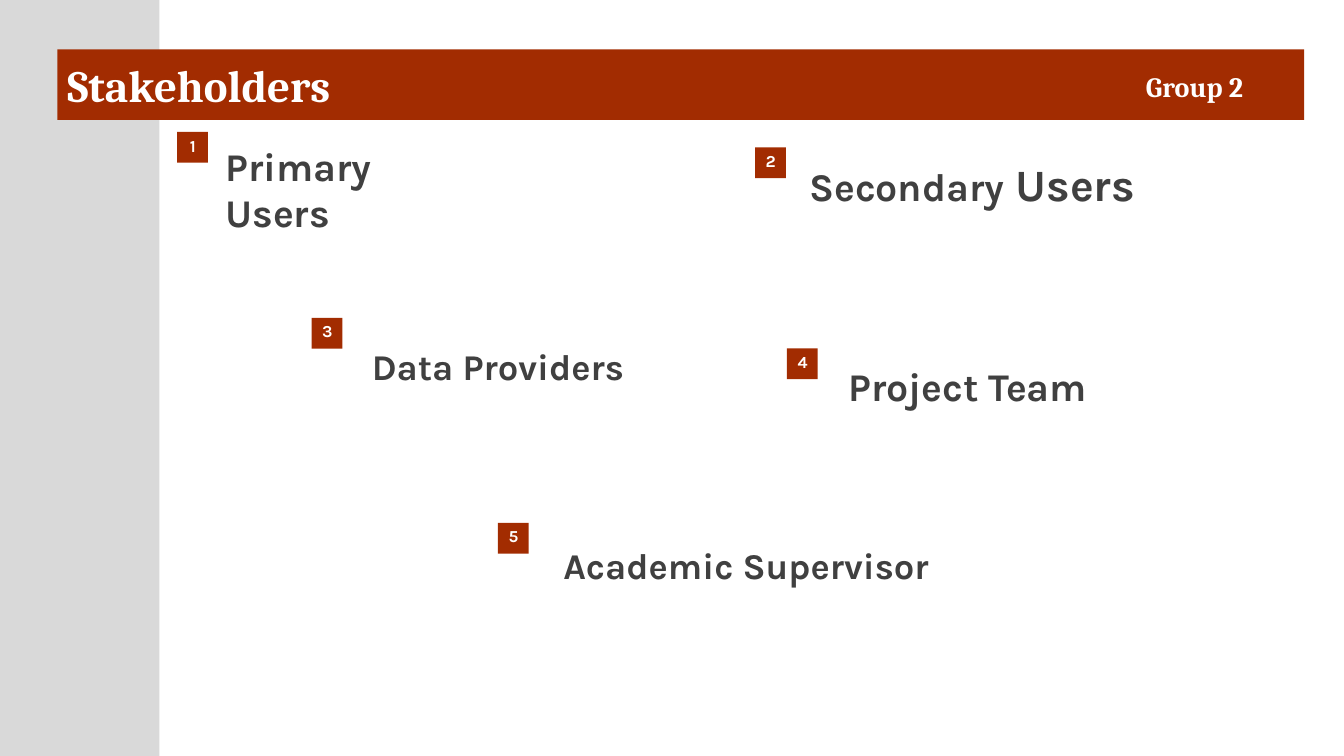
"""Build the Stakeholders slide with five numbered groups."""
from pptx import Presentation
from pptx.dml.color import RGBColor
from pptx.enum.shapes import MSO_SHAPE
from pptx.enum.text import MSO_ANCHOR, PP_ALIGN
from pptx.util import Pt

RUST, GREY, WHITE, DARK = "A22C01", "D9D9D9", "FFFFFF", "404040"

deck = Presentation()
deck.slide_width, deck.slide_height = Pt(960), Pt(540)
slide = deck.slides.add_slide(deck.slide_layouts[6])


def block(x, y, w, h, fill):
    shape = slide.shapes.add_shape(MSO_SHAPE.RECTANGLE, Pt(x), Pt(y), Pt(w), Pt(h))
    shape.shadow.inherit = False
    shape.fill.solid()
    shape.fill.fore_color.rgb = RGBColor.from_string(fill)
    shape.line.fill.background()
    return shape


def write(shape, *runs, font="Karla", color=WHITE, align=PP_ALIGN.LEFT,
          anchor=MSO_ANCHOR.TOP, spacing=1.0):
    frame = shape.text_frame
    frame.word_wrap = True
    frame.vertical_anchor = anchor
    para = frame.paragraphs[0]
    para.alignment = align
    para.line_spacing = spacing
    for text, size in runs:
        run = para.add_run()
        run.text = text
        run.font.name = font
        run.font.size = Pt(size)
        run.font.bold = True
        run.font.color.rgb = RGBColor.from_string(color)


block(0, 0, 113.8, 540, GREY)
title = block(41, 35.3, 890.6, 50.4, RUST)
write(title, ("Stakeholders", 32), font="Cambria", anchor=MSO_ANCHOR.MIDDLE)

team = block(776.9, 40.3, 148.3, 40.3, RUST)
write(team, ("Group 2", 20), font="Cambria", align=PP_ALIGN.CENTER,
      anchor=MSO_ANCHOR.BOTTOM)
team.text_frame.margin_left = Pt(11.5)
team.text_frame.margin_bottom = Pt(7.2)

groups = [
    ((126.6, 94.3), (154.1, 99.4, 198.7, 40.3), 0.98, [("Primary Users", 28)]),
    ((539.4, 105.3), (571, 105.1, 360.7, 149.8), 1.08,
     [("Secondary", 28), (" Users", 32)]),
    ((222.7, 227), (258.5, 239.8, 198.7, 40.3), 1.08, [("Data Providers", 25.9)]),
    ((562.1, 248.9), (599, 257, 198.7, 40.3), 0.98, [("Project Team", 28)]),
    ((355.6, 373.5), (395.3, 382.3, 280.1, 68.4), 1.08,
     [("Academic Supervisor", 25.9)]),
]
for count, ((x, y), place, spacing, runs) in enumerate(groups, 1):
    block(x, y, 22, 22, RUST)
    badge = slide.shapes.add_textbox(Pt(x - 4), Pt(y - 1.2), Pt(30.2), Pt(21.6))
    write(badge, (str(count), 12), align=PP_ALIGN.CENTER)
    label = slide.shapes.add_textbox(*map(Pt, place))
    write(label, *runs, color=DARK, spacing=spacing)

deck.save("out.pptx")
